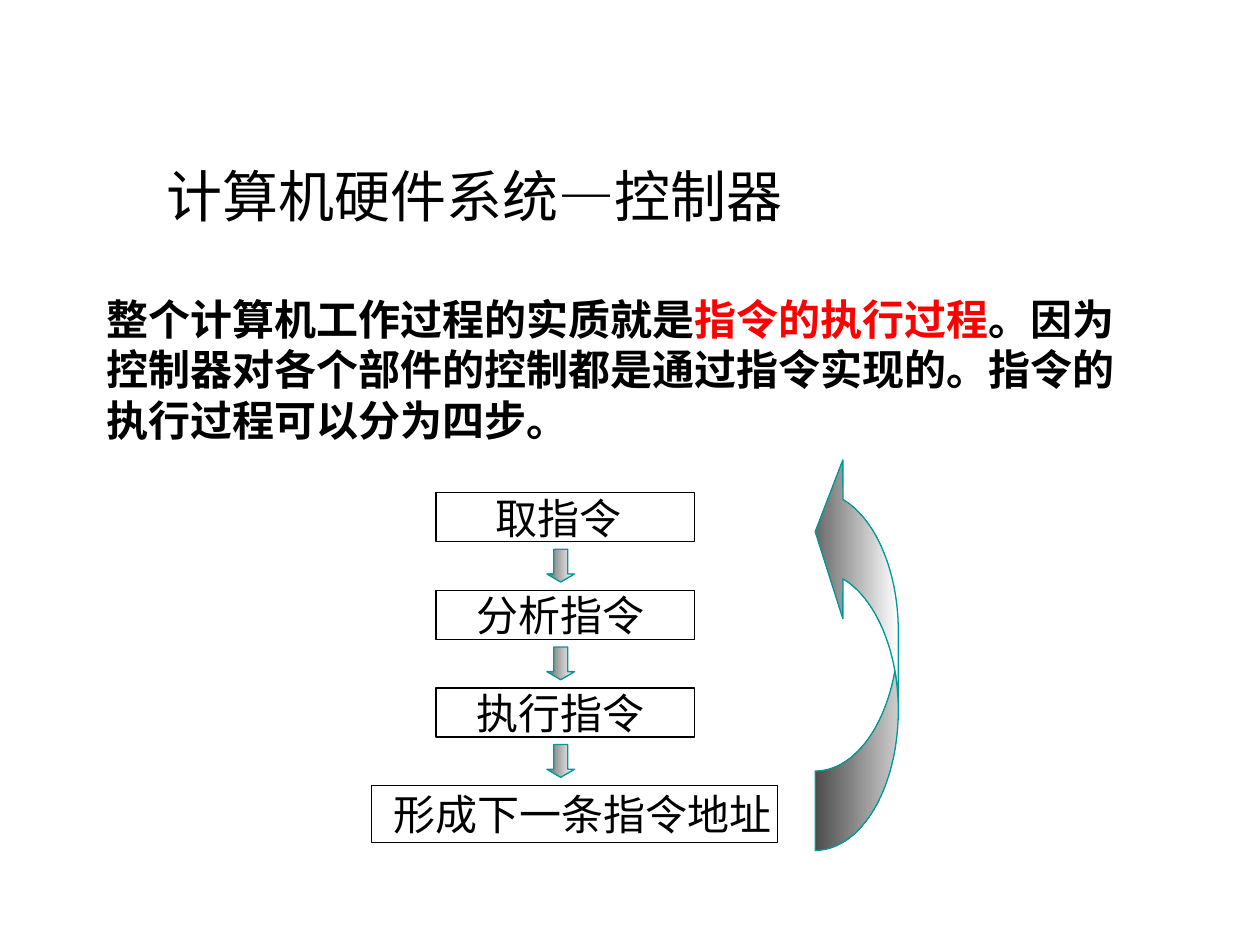
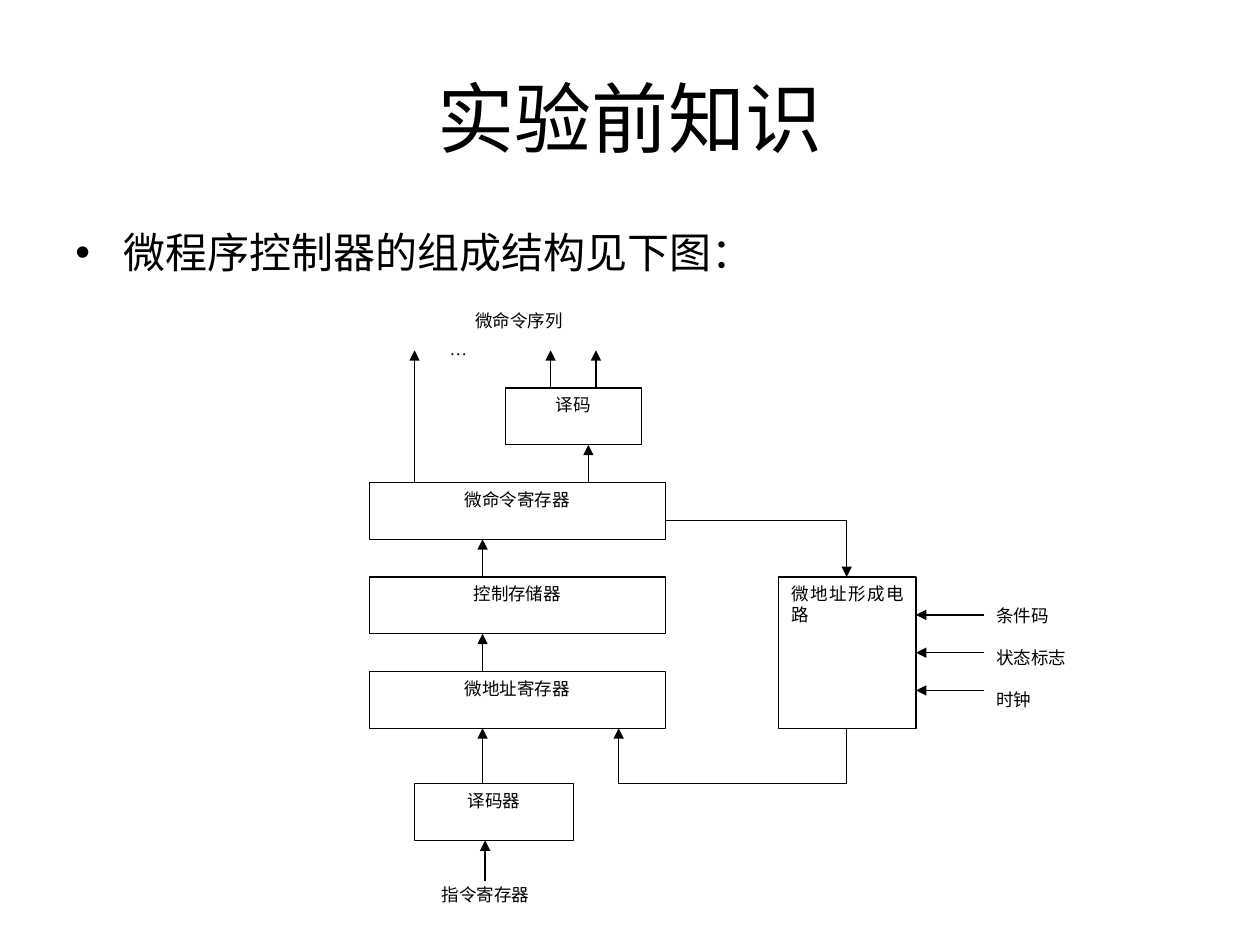
from dataclasses import dataclass
from math import cos, radians, sin

from lxml.etree import SubElement
from pptx import Presentation
from pptx.dml.color import RGBColor
from pptx.enum.lang import MSO_LANGUAGE_ID
from pptx.enum.shapes import MSO_CONNECTOR, MSO_SHAPE
from pptx.enum.text import MSO_ANCHOR, PP_ALIGN
from pptx.oxml.ns import qn
from pptx.util import Inches, Pt


@dataclass(frozen=True)
class Theme:
    ink: str = "000000"
    paper: str = "FFFFFF"
    key: str = "FF0000"
    edge: str = "009999"
    dark: str = "696969"
    deep: str = "4D4D4D"
    pale: str = "CCCCCC"
    sans: str = "Arial"
    serif: str = "Times New Roman"
    han: str = "Noto Sans CJK SC"
    title: int = 44
    head: int = 32
    body: int = 24
    small: int = 10
    line: float = 0.75


look = Theme()


def tint(code):
    return RGBColor.from_string(code)


def write(para, text, size, face, color=look.ink, bold=False):
    run = para.add_run()
    run.text = text
    font = run.font
    font.size = Pt(size)
    font.bold = bold
    font.color.rgb = tint(color)
    font.name = face
    font.language_id = MSO_LANGUAGE_ID.SIMPLIFIED_CHINESE
    SubElement(font._element, qn("a:ea")).set("typeface", look.han)


def frame(shape, anchor, left=0.1, top=0.05, right=0.1):
    area = shape.text_frame
    area.word_wrap = True
    area.vertical_anchor = anchor
    area.margin_left, area.margin_right = Inches(left), Inches(right)
    area.margin_top, area.margin_bottom = Inches(top), Inches(0.05)
    return area


def note(page, box, runs, size, face, align=PP_ALIGN.LEFT,
         anchor=MSO_ANCHOR.TOP, bold=False):
    shape = page.shapes.add_textbox(*map(Inches, box))
    para = frame(shape, anchor).paragraphs[0]
    para.alignment = align
    for text, color in runs:
        write(para, text, size, face, color, bold)
    return para


def trim(shape, color):
    shape.shadow.inherit = False
    shape.line.color.rgb = tint(color)
    shape.line.width = Pt(look.line)


def shade(shape, start, end):
    trim(shape, look.edge)
    shape.fill.gradient()
    shape.fill.gradient_angle = 0
    for stop, color in zip(shape.fill.gradient_stops, (start, end)):
        stop.color.rgb = tint(color)


def block(page, box, text, size, face, align=PP_ALIGN.CENTER,
          anchor=MSO_ANCHOR.TOP, left=0.1, right=0.1):
    shape = page.shapes.add_shape(MSO_SHAPE.RECTANGLE, *map(Inches, box))
    trim(shape, look.ink)
    shape.fill.solid()
    shape.fill.fore_color.rgb = tint(look.paper)
    para = frame(shape, anchor, left, right=right).paragraphs[0]
    para.alignment = align
    write(para, text, size, face)


def route(page, x, y, points, arrow=True):
    last = len(points) - 1
    for step, (start, end) in enumerate(zip(points, points[1:]), 1):
        ends = [Inches(base + part) for spot in (start, end)
                for base, part in zip((x, y), spot)]
        link = page.shapes.add_connector(MSO_CONNECTOR.STRAIGHT, *ends)
        link.line.color.rgb = tint(look.ink)
        link.line.width = Pt(look.line)
        SubElement(link._element.spPr, qn("a:effectLst"))
        if arrow and step == last:
            tail = SubElement(link.line._get_or_add_ln(), qn("a:tailEnd"))
            tail.set("type", "triangle")


def steps(page, x, y):
    gap = 0.775
    names = [("取指令", 0.47), ("分析指令", 0.32), ("执行指令", 0.32)]
    for row, (name, left) in enumerate(names):
        top = y + row * gap
        block(page, (x + 0.51, top, 2.05, 0.39), name, look.body, look.sans,
              PP_ALIGN.LEFT, MSO_ANCHOR.MIDDLE, left)
        arrow = page.shapes.add_shape(
            MSO_SHAPE.DOWN_ARROW,
            *map(Inches, (x + 1.39, top + 0.45, 0.22, 0.26)))
        arrow.adjustments[1] = 0.291
        shade(arrow, look.dark, look.paper)
    block(page, (x, y + 3 * gap, 3.22, 0.45), "形成下一条指令地址",
          look.body, look.sans, PP_ALIGN.LEFT, MSO_ANCHOR.MIDDLE, 0.17, 0)


def arc(mid, start, end, count=24):
    turns = [radians(start + (end - start) * i / count)
             for i in range(count + 1)]
    return [(0.66 * cos(turn), mid + 1.11 * sin(turn)) for turn in turns]


def outline(page, x, y, points):
    spots = [(Inches(x + a), Inches(y + b)) for a, b in points]
    pen = page.shapes.build_freeform(*spots[0], scale=1.0)
    pen.add_line_segments(spots[1:], close=True)
    return pen.convert_to_shape()


def loop(page, x, y):
    high, low = 1.36, 1.99
    lower = (arc(low, 0, 90) + arc(high, 90, 16.5) + arc(low, -16.5, 0))
    upper = ([(0, 0.57), (0.22, 0)] + arc(high, -70.5, 0)
             + arc(low, 0, -70.5) + [(0.22, 1.26)])
    shade(outline(page, x, y, upper), look.dark, look.paper)
    shade(outline(page, x, y, lower), look.deep, look.pale)


def cycle(page):
    note(page, (1.22, 1.23, 6.33, 0.64),
         [("计算机硬件系统—控制器", look.ink)], look.head, look.han)
    note(page, (0.75, 2.28, 8.27, 1.3),
         [("整个计算机工作过程的实质就是", look.ink),
          ("指令的执行过程", look.key),
          ("。因为控制器对各个部件的控制都是通过指令实现的。"
           "指令的执行过程可以分为四步。", look.ink)],
         look.body, look.sans, bold=True)
    steps(page, 2.95, 3.91)
    loop(page, 6.47, 3.65)


def parts(page, x, y):
    boxes = [
        ("译码", 1.08, 0.3, 1.08, 0.45),
        ("微命令寄存器", 0, 1.05, 2.35, 0.45),
        ("控制存储器", 0, 1.8, 2.35, 0.45),
        ("微地址寄存器", 0, 2.55, 2.35, 0.45),
        ("译码器", 0.36, 3.44, 1.26, 0.45),
        ("微地址形成电路", 3.25, 1.8, 1.09, 1.2),
    ]
    for name, left, top, wide, high in boxes:
        align = PP_ALIGN.JUSTIFY if high > 1 else PP_ALIGN.CENTER
        block(page, (x + left, y + top, wide, high), name,
              look.small, look.serif, align)
    rises = [(0.9, 1.8, 1.5), (0.9, 2.55, 2.25), (0.9, 3.44, 3),
             (0.36, 1.05, 0), (1.74, 1.05, 0.75), (1.8, 0.3, 0),
             (1.44, 0.3, 0), (0.92, 4.21, 3.89)]
    for left, start, end in rises:
        route(page, x, y, [(left, start), (left, end)])
    for row in range(3):
        top = 2.1 + row * 0.3
        route(page, x, y, [(4.88, top), (4.34, top)])
    route(page, x, y, [(2.35, 1.35), (3.79, 1.35), (3.79, 1.8)])
    route(page, x, y, [(3.79, 3), (3.79, 3.44), (1.98, 3.44), (1.98, 3)])


def labels(page, x, y):
    for text, left, top, wide, align in [
            ("微命令序列", 0.5, -0.37, 1.38, PP_ALIGN.CENTER),
            ("…", 0.54, -0.15, 0.54, PP_ALIGN.LEFT),
            ("指令寄存器", 0.48, 4.19, 1.13, PP_ALIGN.LEFT)]:
        note(page, (x + left, y + top, wide, 0.33), [(text, look.ink)],
             look.small, look.serif, align)
    shape = page.shapes.add_textbox(
        *map(Inches, (x + 4.88, y + 1.8, 1.26, 1.2)))
    area = frame(shape, MSO_ANCHOR.TOP, top=0.22)
    for row, text in enumerate(("条件码", "状态标志", "时钟")):
        para = area.add_paragraph() if row else area.paragraphs[0]
        if row:
            para.space_before = Pt(12)
        write(para, text, look.small, look.serif)


def layout(page):
    note(page, (0.5, 0.3, 9, 1.25), [("实验前知识", look.ink)], look.title,
         look.sans, PP_ALIGN.CENTER, MSO_ANCHOR.MIDDLE)
    para = note(page, (0.5, 1.75, 9, 0.6),
                [("微程序控制器的组成结构见下图：", look.ink)],
                look.body, look.sans)
    para.space_before = Pt(6)
    props = para._p.get_or_add_pPr()
    props.set("marL", str(Inches(0.38)))
    props.set("indent", str(-Inches(0.38)))
    SubElement(props, qn("a:buFont")).set("typeface", look.sans)
    SubElement(props, qn("a:buChar")).set("char", "•")
    parts(page, 2.93, 2.78)
    labels(page, 2.93, 2.78)


def main():
    deck = Presentation()
    deck.slide_width, deck.slide_height = Inches(10), Inches(7.5)
    for draw in (cycle, layout):
        draw(deck.slides.add_slide(deck.slide_layouts[6]))
    deck.save("out.pptx")


if __name__ == "__main__":
    main()
